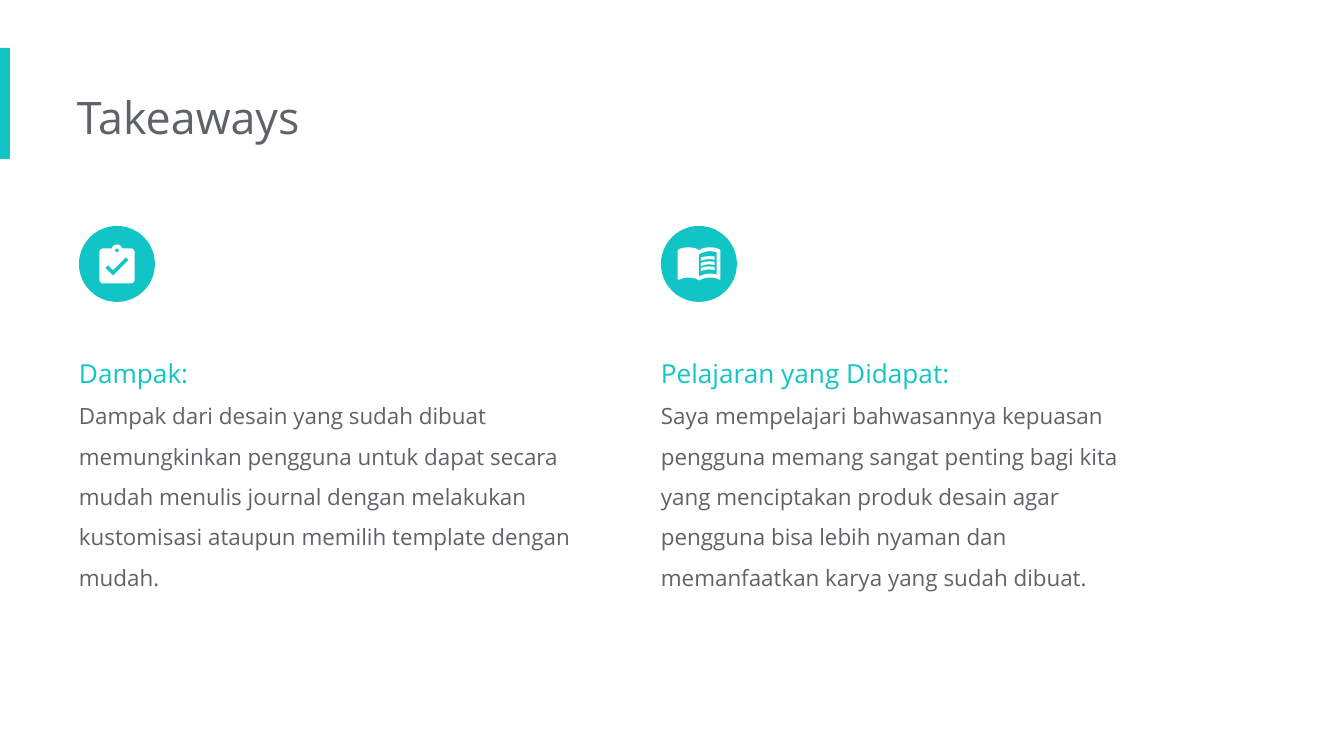
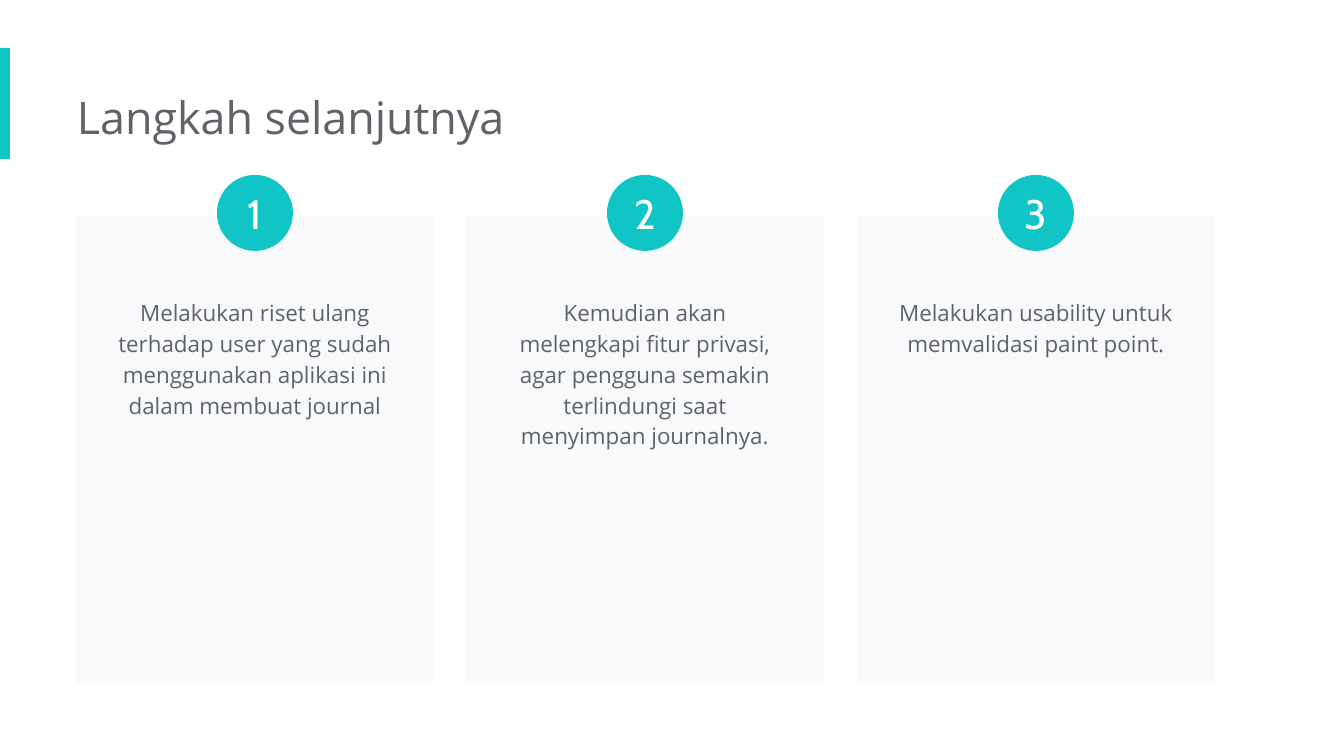
import math

from pptx import Presentation
from pptx import util as u
from pptx.dml.color import RGBColor
from pptx.enum import shapes, text

PX = 914400 / 134.4
TEAL, GREY, PALE, WHITE = "11C5C6", "5F6368", "F8F9FA", "FFFFFF"
BODY_FONT, NUMBER_FONT = "Open Sans", "Cabin"
PAD = 13
DISC = 76
ICON_GRID = 240
ICON_UNIT = 0.195

LESSONS = [
    ("Dampak:",
     "Dampak dari desain yang sudah dibuat memungkinkan pengguna untuk dapat secara "
     "mudah menulis journal dengan melakukan kustomisasi ataupun memilih template "
     "dengan mudah."),
    ("Pelajaran yang Didapat:",
     "Saya mempelajari bahwasannya kepuasan pengguna memang sangat penting bagi kita "
     "yang menciptakan produk desain agar pengguna bisa lebih nyaman dan memanfaatkan "
     "karya yang sudah dibuat."),
]
STEPS = [
    ("Melakukan riset ulang terhadap user yang sudah menggunakan aplikasi ini dalam "
     "membuat journal", 183),
    ("Kemudian akan melengkapi fitur privasi, agar pengguna semakin terlindungi saat "
     "menyimpan journalnya.", 215),
    ("Melakukan usability untuk memvalidasi paint point.", 152),
]


def px(length):
    return u.Emu(round(length * PX))


def color(value):
    return RGBColor.from_string(value)


def paint(shape, fill):
    shape.shadow.inherit = False
    shape.fill.solid()
    shape.fill.fore_color.rgb = color(fill)
    shape.line.fill.background()
    return shape


def add_block(page, kind, box, fill):
    return paint(page.shapes.add_shape(kind, *map(px, box)), fill)


def write(frame, content, *, size, fill=GREY, font=BODY_FONT, spacing=None,
          align=text.PP_ALIGN.LEFT, more=False):
    """Fill the first paragraph of the frame, or add another one when more is set."""
    para = frame.add_paragraph() if more else frame.paragraphs[0]
    para.alignment = align
    if spacing:
        para.line_spacing = spacing
    span = para.add_run()
    span.text = content
    span.font.size = u.Pt(size)
    span.font.name = font
    span.font.color.rgb = color(fill)


def set_insets(frame, left, top, right, bottom):
    frame.margin_left, frame.margin_top = px(left), px(top)
    frame.margin_right, frame.margin_bottom = px(right), px(bottom)


def add_text_box(page, box, left_inset=0):
    frame = page.shapes.add_textbox(*map(px, box)).text_frame
    frame.word_wrap = True
    set_insets(frame, left_inset, PAD, PAD, PAD)
    return frame


def arc(x, y, radius, start, end, steps=8):
    """Points along a circle, with angles in degrees, clockwise from the right."""
    angles = [math.radians(start + (end - start) * i / steps) for i in range(steps + 1)]
    return [(x + radius * math.cos(a), y + radius * math.sin(a)) for a in angles]


def curve(start, first, second, end, steps=8):
    """Points along a cubic curve."""
    points = []
    for i in range(steps + 1):
        t = i / steps
        weights = ((1 - t) ** 3, 3 * t * (1 - t) ** 2, 3 * t * t * (1 - t), t ** 3)
        points.append(tuple(sum(w * p[axis] for w, p in zip(weights, (start, first, second, end)))
                            for axis in (0, 1)))
    return points


def add_outline(page, left, top, contours):
    """Draw closed contours, given in icon units, as one white shape."""
    builder = page.shapes.build_freeform(*contours[0][0], scale=PX * ICON_UNIT)
    for i, contour in enumerate(contours):
        if i:
            builder.move_to(*contour[0])
        builder.add_line_segments(contour[1:], close=True)
    paint(builder.convert_to_shape(px(left), px(top)), WHITE)


def add_clipboard(page, center_x, center_y):
    board = (arc(190, 50, 20, -90, 0) + arc(190, 190, 20, 0, 90)
             + arc(50, 190, 20, 90, 180) + arc(50, 50, 20, 180, 270)
             + arc(120, 40, 30, 199, 341))
    tick = [(100, 170), (60, 130), (74, 116), (100, 142), (166, 76), (180, 90)]
    left, top = center_x - 120 * ICON_UNIT, center_y - 110 * ICON_UNIT
    add_outline(page, left, top, [board, arc(120, 40, 10, 0, 360), tick])


def add_book(page, center_x, center_y):
    cover = (curve((10, 60), (25, 49), (46, 45), (65, 45))
             + curve((65, 45), (85, 45), (106, 49), (120, 60))
             + curve((120, 60), (135, 49), (156, 45), (175, 45))
             + curve((175, 45), (187, 45), (215, 46), (230, 60))
             + arc(225, 206, 5, 0, 110)
             + curve((222, 210), (208, 203), (192, 200), (175, 200))
             + curve((175, 200), (158, 200), (134, 207), (120, 215))
             + curve((120, 215), (106, 204), (85, 200), (65, 200))
             + curve((65, 200), (50, 200), (31, 205), (18, 211))
             + arc(15, 206, 5, 90, 180))
    sheet = (curve((120, 80), (134, 72), (158, 65), (175, 65))
             + curve((175, 65), (187, 65), (199, 67), (210, 70))
             + curve((210, 185), (199, 182), (187, 180), (175, 180))
             + curve((175, 180), (158, 180), (134, 187), (120, 195)))
    left, top = center_x - 120 * ICON_UNIT, center_y - 130 * ICON_UNIT
    add_outline(page, left, top, [cover, sheet])
    for drop in (0, 27, 53):
        upper = curve((130, 98 + drop), (143, 93 + drop), (158, 90 + drop), (175, 90 + drop))
        lower = curve((175, 105 + drop), (157, 105 + drop), (141, 109 + drop), (130, 115 + drop))
        add_outline(page, left, top, [upper + [(200, 92 + drop), (200, 108 + drop)] + lower])


def add_page(deck, title):
    page = deck.slides.add_slide(deck.slide_layouts[6])
    add_block(page, shapes.MSO_SHAPE.RECTANGLE, (0, 48, 10, 111), TEAL)
    write(add_text_box(page, (77, 77, 724, 82)), title, size=24)
    return page


def add_disc(page, left, top):
    return add_block(page, shapes.MSO_SHAPE.OVAL, (left, top, DISC, DISC), TEAL)


def add_lesson(page, box, heading, body, add_icon):
    left, top, width, height = box
    add_disc(page, left, top)
    add_icon(page, left + DISC / 2, top + DISC / 2)
    frame = add_text_box(page, (left, top + 103, width, height - 103))
    write(frame, heading, size=14, fill=TEAL, spacing=1.5)
    write(frame, body, size=12, spacing=1.5, more=True)


def add_step(page, box, number, body, body_height):
    left, top, width, _ = box
    add_block(page, shapes.MSO_SHAPE.RECTANGLE, box, PALE)
    frame = add_text_box(page, (left + 28, top + 66, width - 56, body_height), PAD)
    write(frame, body, size=12, spacing=1.15, align=text.PP_ALIGN.CENTER)
    frame = add_disc(page, left + (width - DISC) // 2, top - 41).text_frame
    set_insets(frame, 0, 0, 0, 0)
    frame.vertical_anchor = text.MSO_ANCHOR.MIDDLE
    write(frame, str(number), size=22, fill=WHITE, font=NUMBER_FONT,
          align=text.PP_ALIGN.CENTER)


def build_takeaways(deck):
    page = add_page(deck, "Takeaways")
    for i, (lesson, icon) in enumerate(zip(LESSONS, (add_clipboard, add_book))):
        add_lesson(page, (79 + 582 * i, 226, 507, 381), *lesson, icon)


def build_next_steps(deck):
    page = add_page(deck, "Langkah selanjutnya")
    left, span, width = 76, 1139, 358
    for i, step in enumerate(STEPS):
        offset = i * (span - width) // (len(STEPS) - 1)
        add_step(page, (left + offset, 216, width, 467), i + 1, *step)


def main():
    deck = Presentation()
    deck.slide_width, deck.slide_height = px(1344), px(756)
    build_takeaways(deck)
    build_next_steps(deck)
    deck.save("out.pptx")


if __name__ == "__main__":
    main()
